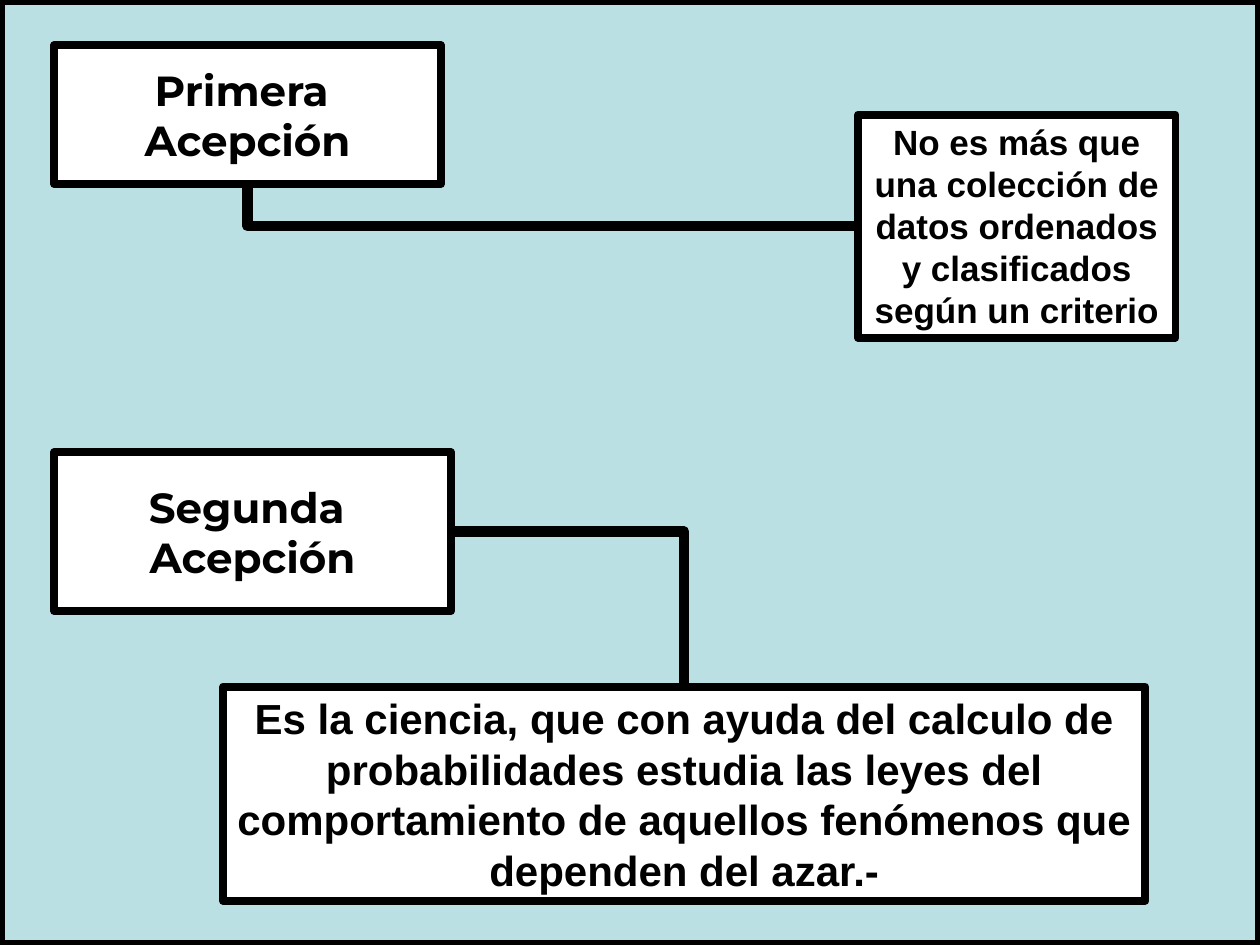
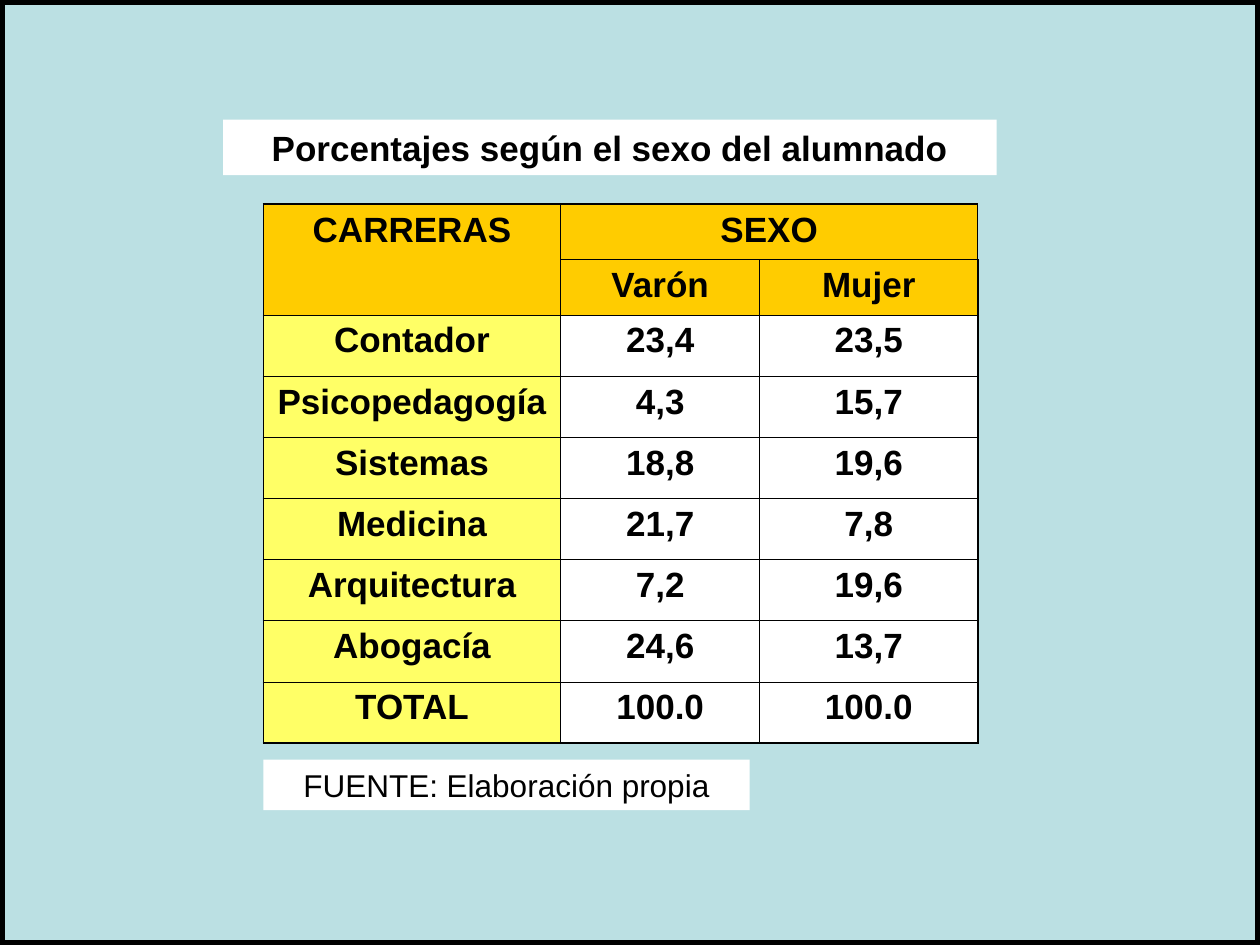
from lxml.etree import SubElement
from pptx import Presentation
from pptx.dml.color import RGBColor
from pptx.enum.shapes import MSO_CONNECTOR, MSO_SHAPE
from pptx.enum.text import MSO_ANCHOR, MSO_AUTO_SIZE, PP_ALIGN
from pptx.oxml.ns import qn
from pptx.util import Inches, Pt

BLACK = RGBColor(0x00, 0x00, 0x00)
WHITE = RGBColor(0xFF, 0xFF, 0xFF)
AQUA = RGBColor(0xBB, 0xE0, 0xE3)
GOLD = RGBColor(0xFF, 0xCC, 0x00)
LEMON = RGBColor(0xFF, 0xFF, 0x66)

WIDE, HIGH = 10, 7.5
LEFT = 0.43      # left edge of both headings
SIDE = 2.09      # left edge of the table and its source

FIRST = "Primera \nAcepción"
SECOND = "Segunda \nAcepción"
DATA = "No es más que una colección de datos ordenados y clasificados según un criterio"
SCIENCE = ("Es la ciencia, que con ayuda del calculo de probabilidades estudia las leyes "
           "del comportamiento de aquellos fenómenos que dependen del azar.-")
TITLE = "Porcentajes según el sexo del alumnado"
SOURCE = "FUENTE: Elaboración propia"
ROWS = [
    ("CARRERAS", "SEXO", ""),
    ("", "Varón", "Mujer"),
    ("Contador", "23,4", "23,5"),
    ("Psicopedagogía", "4,3", "15,7"),
    ("Sistemas", "18,8", "19,6"),
    ("Medicina", "21,7", "7,8"),
    ("Arquitectura", "7,2", "19,6"),
    ("Abogacía", "24,6", "13,7"),
    ("TOTAL", "100.0", "100.0"),
]
COLS = (2.36, 1.58, 1.73)
HEADS, HEAD, TALL = 2, 0.44, 4.28    # header rows, their height, table height


def write(frame, text, size=20, font="Arial", bold=True):
    for i, line in enumerate(text.split("\n")):
        para = frame.paragraphs[0] if i == 0 else frame.add_paragraph()
        para.alignment = PP_ALIGN.CENTER
        run = para.add_run()
        run.text = line
        run.font.size, run.font.name = Pt(size), font
        run.font.bold, run.font.color.rgb = bold, BLACK


def paint(shape, fill, line):
    shape.fill.solid()
    shape.fill.fore_color.rgb = fill
    if line:
        shape.line.color.rgb = BLACK
        shape.line.width = Pt(line)
    else:
        shape.line.fill.background()


def rect(slide, area, fill=WHITE, line=0):
    shape = slide.shapes.add_shape(MSO_SHAPE.RECTANGLE, *map(Inches, area))
    shape.shadow.inherit = False
    paint(shape, fill, line)
    return shape


def box(slide, area, text, line=0, title=False, anchor=MSO_ANCHOR.TOP, wrap=True, **style):
    """White text panel; title=True uses the slide's title placeholder."""
    if title:
        shape = slide.shapes.title
        shape.left, shape.top, shape.width, shape.height = map(Inches, area)
        paint(shape, WHITE, line)
    else:
        shape = rect(slide, area, line=line)
    frame = shape.text_frame
    frame.auto_size = MSO_AUTO_SIZE.NONE
    frame.vertical_anchor, frame.word_wrap = anchor, wrap
    write(frame, text, **style)
    return shape


def page(deck):
    """Add a title-only slide with the framed backdrop behind everything."""
    slide = deck.slides.add_slide(deck.slide_layouts[5])
    back = rect(slide, (0, 0, WIDE, HIGH), AQUA, 6)
    slide.shapes.title.element.addprevious(back.element)
    return slide


def link(slide, start, site, end, goal):
    """Join two boxes with one bend: sites are 0 top, 1 left, 2 bottom, 3 right."""
    wire = slide.shapes.add_connector(MSO_CONNECTOR.ELBOW, 0, 0, 0, 0)
    wire.begin_connect(start, site)
    wire.end_connect(end, goal)
    wire.line.color.rgb, wire.line.width = BLACK, Pt(6)
    props = wire.element.spPr
    props.find(qn("a:prstGeom")).set("prst", "bentConnector2")
    SubElement(props, qn("a:effectLst"))


def edge(cell, side, width):
    line = SubElement(cell._tc.get_or_add_tcPr(), qn(f"a:ln{side}"), w=str(Pt(width)))
    fill = SubElement(line, qn("a:solidFill"))
    SubElement(fill, qn("a:srgbClr"), val=str(BLACK))


def meanings(deck):
    slide = page(deck)
    head = dict(line=4.5, anchor=MSO_ANCHOR.MIDDLE, wrap=False, size=24, font="Montserrat")
    first = box(slide, (LEFT, 0.36, 3.07, 1.1), FIRST, title=True, **head)
    second = box(slide, (LEFT, 3.59, 3.15, 1.26), SECOND, **head)
    data = box(slide, (6.81, 0.91, 2.52, 1.77), DATA, line=4.5)
    science = box(slide, (1.77, 5.45, 7.32, 1.7), SCIENCE, line=4.5, size=24)
    link(slide, data, 1, first, 2)
    link(slide, second, 3, science, 0)


def shares(deck):
    slide = page(deck)
    box(slide, (1.77, 0.95, 6.14, 0.44), TITLE, title=True)
    area = (SIDE, 1.62, sum(COLS), TALL)
    table = slide.shapes.add_table(len(ROWS), len(COLS), *map(Inches, area)).table
    table.first_row = table.horz_banding = False
    for col, width in zip(table.columns, COLS):
        col.width = Inches(width)
    body = (TALL - HEADS * HEAD) / (len(ROWS) - HEADS)
    for r, row in enumerate(ROWS):
        table.rows[r].height = Inches(HEAD if r < HEADS else body)
        for c, text in enumerate(row):
            cell = table.cell(r, c)
            outer = {"L": c == 0, "R": c == len(COLS) - 1,
                     "T": r == 0, "B": r == len(ROWS) - 1}
            for side, thick in outer.items():
                edge(cell, side, 1.08 if thick else 0.45)
            cell.fill.solid()
            cell.fill.fore_color.rgb = GOLD if r < HEADS else WHITE if c else LEMON
            if text:
                write(cell.text_frame, text)
    table.cell(0, 0).merge(table.cell(1, 0))
    table.cell(0, 1).merge(table.cell(0, 2))
    box(slide, (SIDE, 6.03, 3.86, 0.4), SOURCE, size=18, bold=False)


def main():
    deck = Presentation()
    deck.slide_width, deck.slide_height = Inches(WIDE), Inches(HIGH)
    meanings(deck)
    shares(deck)
    deck.save("out.pptx")


if __name__ == "__main__":
    main()
